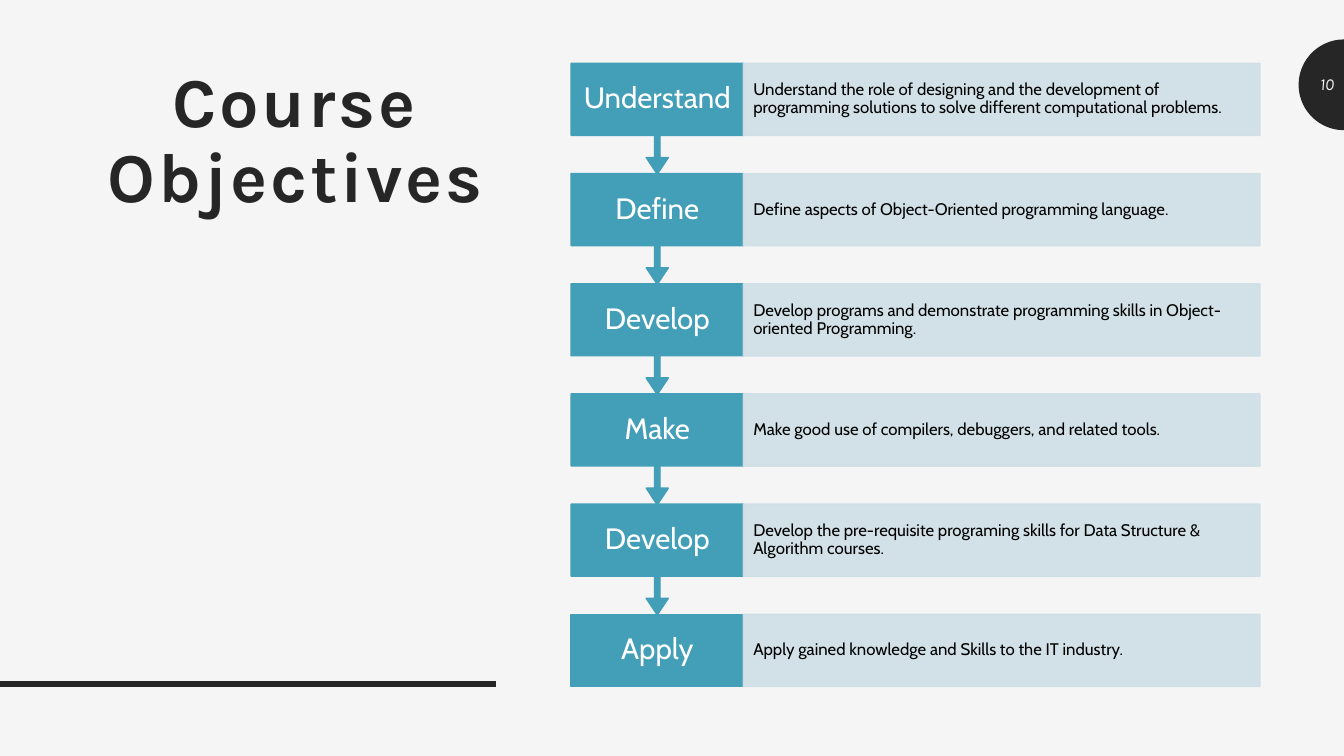
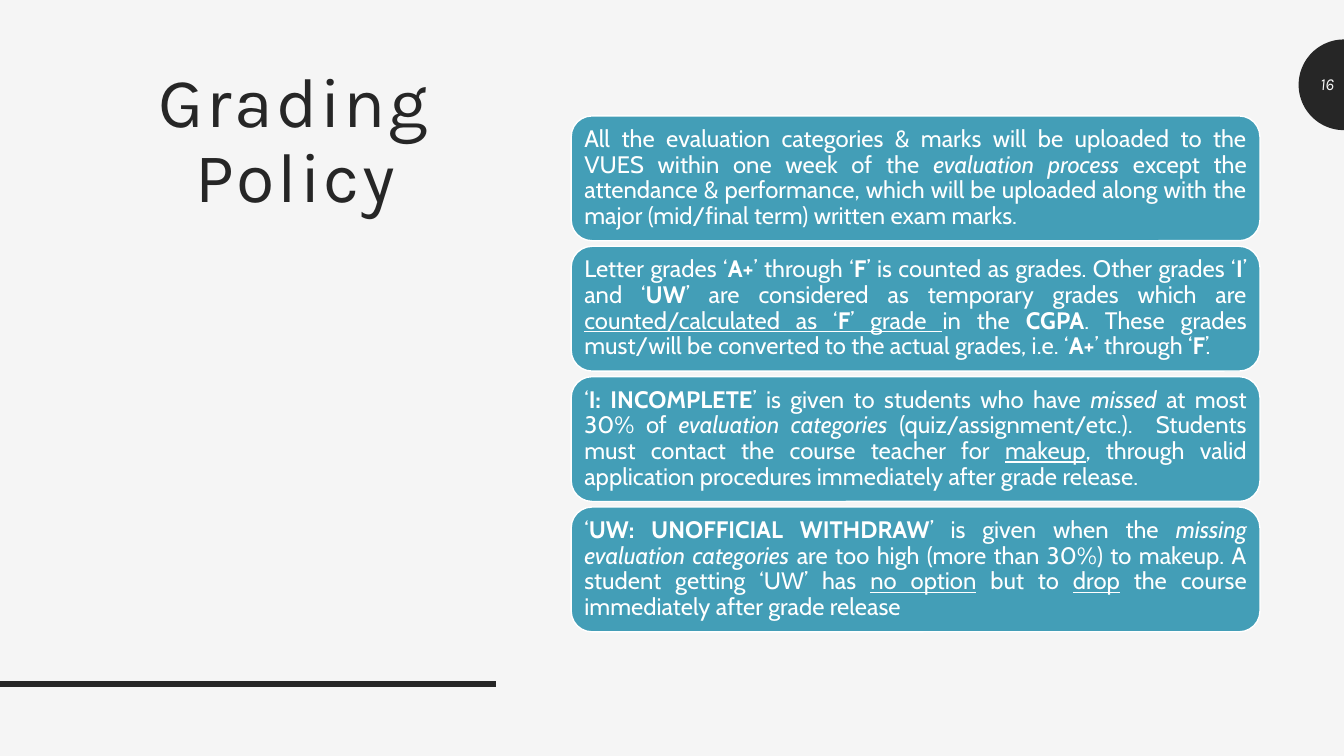
from math import cos, pi, sin

from lxml import etree
from pptx import Presentation
from pptx.dml.color import RGBColor
from pptx.enum.shapes import MSO_CONNECTOR as Connector, MSO_SHAPE as Shape
from pptx.enum.text import MSO_ANCHOR as Anchor, PP_ALIGN as Align
from pptx.oxml.ns import qn
from pptx.util import Inches, Pt

COLORS = {"paper": "F5F5F5", "ink": "262626", "teal": "439EB7",
          "mist": "CFDFE6", "white": "FFFFFF", "black": "000000"}
TITLE_FONT, BODY_FONT = "Karla", "Cabin"

# The slide is a grid of 80 columns by 45 rows of square cells.
COLUMNS, ROWS = 80, 45
CELL = 1 / 6
PANEL_LEFT, PANEL_WIDTH = 34, 41
LABEL_WIDTH = PANEL_WIDTH / 4

OBJECTIVES = [
    ("Understand", "Understand the role of designing and the development of programming "
                   "solutions to solve different computational problems."),
    ("Define", "Define aspects of Object-Oriented programming language."),
    ("Develop", "Develop programs and demonstrate programming skills in "
                "Object-oriented Programming."),
    ("Make", "Make good use of compilers, debuggers, and related tools."),
    ("Develop", "Develop the pre-requisite programing skills for Data Structure & "
                "Algorithm courses."),
    ("Apply", "Apply gained knowledge and Skills to the IT industry."),
]

# Each policy is a list of (text, style); style letters: b bold, i italic, u underline.
POLICIES = [
    [("All the evaluation categories & marks will be uploaded to the VUES within one "
      "week of the ", ""), ("evaluation process", "i"),
     (" except the attendance & performance, which will be uploaded along with the "
      "major (mid/final term) written exam marks. ", "")],
    [("Letter grades ‘", ""), ("A+", "b"), ("’ through ‘", ""), ("F", "b"),
     ("’ is counted as grades. Other grades ‘", ""), ("I", "b"), ("’ and ‘", ""),
     ("UW", "b"), ("’ are considered as temporary grades which are ", ""),
     ("counted/calculated as ‘", "u"), ("F", "bu"), ("’ grade ", "u"), ("in the ", ""),
     ("CGPA", "b"),
     (". These grades must/will be converted to the actual grades, i.e. ‘", ""),
     ("A+", "b"), ("’ through ‘", ""), ("F", "b"), ("’. ", "")],
    [("‘", ""), ("I: INCOMPLETE", "b"), ("’ is given to students who have ", ""),
     ("missed ", "i"), ("at most 30% of ", ""), ("evaluation categories", "i"),
     (" (quiz/assignment/etc.).  Students must contact the course teacher for ", ""),
     ("makeup", "u"),
     (", through valid application procedures immediately after grade release.", "")],
    [("‘", ""), ("UW: UNOFFICIAL WITHDRAW", "b"), ("’ is given when the ", ""),
     ("missing evaluation categories", "i"),
     (" are too high (more than 30%) to makeup. A student getting ‘UW’ has ", ""),
     ("no option", "u"), (" but to ", ""), ("drop", "u"),
     (" the course immediately after grade release", "")],
]


def cells(*counts):
    return [Inches(count * CELL) for count in counts]


def rgb(name):
    return RGBColor.from_string(COLORS[name])


def write(box, pieces, font, size, color, align=Align.LEFT, anchor=Anchor.MIDDLE,
          inset=0.1, spacing=0):
    """Fill a box with one paragraph made of (text, style) pieces."""
    frame = box.text_frame
    frame.word_wrap = True
    frame.vertical_anchor = anchor
    frame.margin_left = frame.margin_right = Inches(inset)
    frame.margin_top = frame.margin_bottom = Inches(0.05)
    paragraph = frame.paragraphs[0]
    paragraph.alignment = align
    paragraph.line_spacing = 0.9
    for text, style in pieces:
        run = paragraph.add_run()
        run.text = text
        run.font.name, run.font.size = font, Pt(size)
        run.font.color.rgb = rgb(color)
        run.font.bold, run.font.italic = "b" in style, "i" in style
        run.font.underline = "u" in style
        if spacing:
            run.font._element.set("spc", str(spacing))


def paint(shape, fill, line=None, opacity=100):
    shape.shadow.inherit = False
    shape.fill.solid()
    shape.fill.fore_color.rgb = rgb(fill)
    if line:
        shape.line.color.rgb = rgb(line)
        shape.line.width = Pt(1)
    else:
        shape.line.fill.background()
    if opacity < 100:
        for color in shape._element.spPr.iter(qn("a:srgbClr")):
            etree.SubElement(color, qn("a:alpha"), val=str(opacity * 1000))


def add_block(slide, kind, place, fill, line, opacity=100):
    block = slide.shapes.add_shape(kind, *cells(*place))
    paint(block, fill, line, opacity)
    return block


def add_page_tab(slide, number):
    """Draw the half disc on the right edge with the page number in it."""
    radius, middle, steps = 2.7, 5.05, 48
    angles = [pi / 2 + pi * step / steps for step in range(steps + 1)]
    points = [cells(COLUMNS + radius * cos(a), middle + radius * sin(a)) for a in angles]
    builder = slide.shapes.build_freeform(*points[0], scale=1.0)
    builder.add_line_segments(points[1:], close=True)
    paint(builder.convert_to_shape(), "ink")
    page = slide.shapes.add_textbox(*cells(COLUMNS - radius, 3.84, radius, 2.4))
    write(page, [(str(number), "i")], TITLE_FONT, 12, "paper", Align.RIGHT)


def add_base_rule(slide):
    rule = slide.shapes.add_connector(Connector.STRAIGHT, *cells(0, 40.7, 29.5, 40.7))
    rule.line.color.rgb = rgb("ink")
    rule.line.width = Pt(4.5)
    etree.SubElement(rule._element.spPr, qn("a:effectLst"))


def add_titled_slide(deck, title, number, style=""):
    slide = deck.slides.add_slide(deck.slide_layouts[6])
    slide.background.fill.solid()
    slide.background.fill.fore_color.rgb = rgb("paper")
    add_page_tab(slide, number)
    add_base_rule(slide)
    heading = slide.shapes.add_textbox(*cells(5, 3.67, 25.15, 32.5))
    write(heading, [(title, style)], TITLE_FONT, 50, "ink", Align.CENTER, Anchor.TOP,
          spacing=200)
    return slide


def add_objective(slide, top, verb, sentence, is_last):
    """Draw one step: a verb, with an arrow to the next step, and its sentence."""
    height, height_with_arrow = 4.3, 6.6
    if is_last:
        label = add_block(slide, Shape.RECTANGLE, (PANEL_LEFT, top, LABEL_WIDTH, height),
                          "teal", "teal")
    else:
        label = add_block(slide, Shape.DOWN_ARROW_CALLOUT,
                          (PANEL_LEFT, top, LABEL_WIDTH, height_with_arrow), "teal", "teal")
        for index, share in enumerate((0.05, 0.1, 0.15, 0.65)):
            label.adjustments[index] = share
    write(label, [(verb, "")], BODY_FONT, 21, "white", Align.CENTER)
    detail = add_block(slide, Shape.RECTANGLE,
                       (PANEL_LEFT + LABEL_WIDTH, top, PANEL_WIDTH - LABEL_WIDTH, height),
                       "mist", "mist", opacity=90)
    write(detail, [(sentence, "")], BODY_FONT, 12, "black")


def add_policy(slide, top, pieces):
    card = add_block(slide, Shape.ROUNDED_RECTANGLE, (PANEL_LEFT, top, PANEL_WIDTH, 7.43),
                     "teal", "white")
    write(card, pieces, BODY_FONT, 17, "white", Align.JUSTIFY, inset=0.07)


def main():
    deck = Presentation()
    deck.slide_width, deck.slide_height = cells(COLUMNS, ROWS)

    objectives = add_titled_slide(deck, "Course Objectives", 10, "b")
    last = len(OBJECTIVES) - 1
    # Lower steps go first, so that each arrow tip lies over the next step.
    for row in range(last, -1, -1):
        add_objective(objectives, 3.77 + 6.56 * row, *OBJECTIVES[row], row == last)

    grading = add_titled_slide(deck, "Grading Policy", 16)
    for row, pieces in enumerate(POLICIES):
        add_policy(grading, 6.9 + 7.76 * row, pieces)

    deck.save("out.pptx")


if __name__ == "__main__":
    main()
